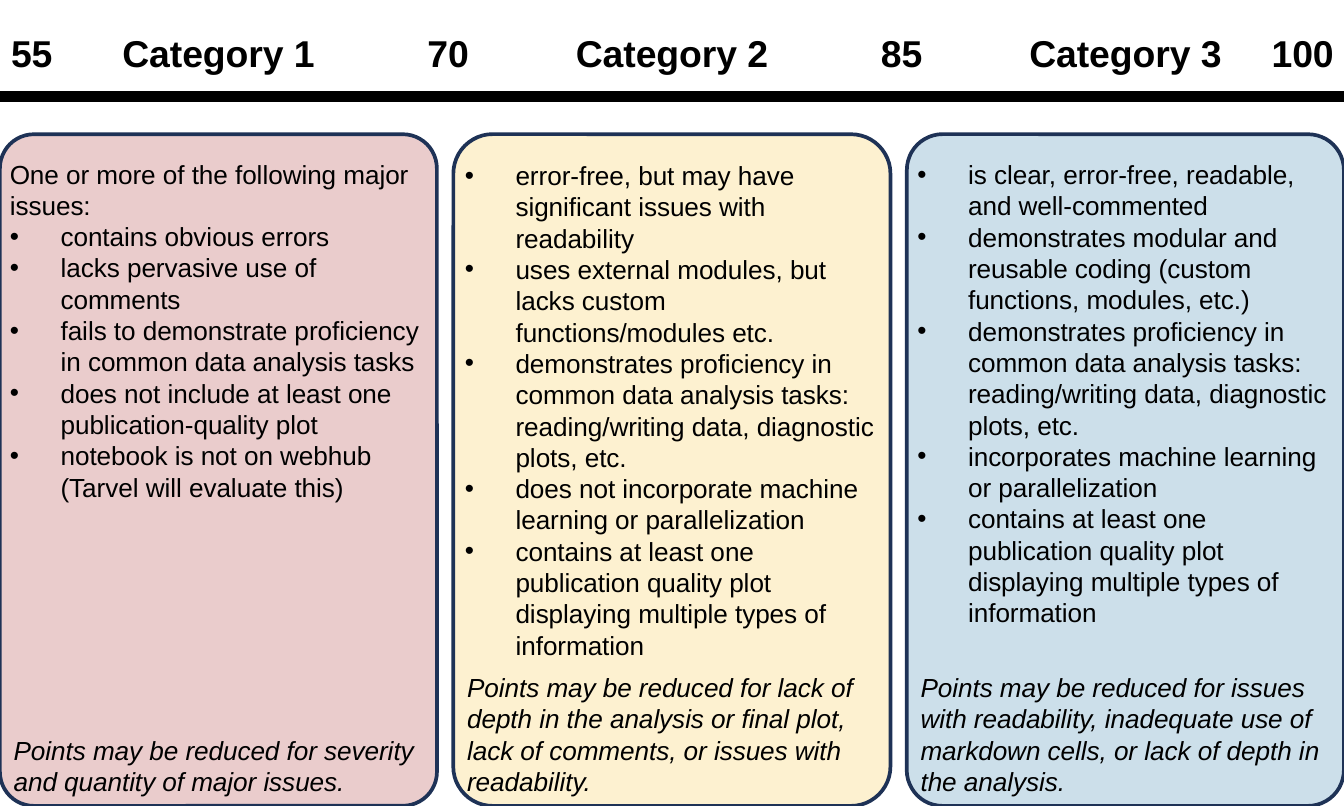
from lxml import etree
from pptx import Presentation
from pptx.dml.color import RGBColor
from pptx.enum import shapes, text
from pptx.oxml.ns import qn
from pptx.util import Cm, Pt

WIDE, HIGH = 12.7, 7.62
CARD, TOP, TALL = 4.13, 1.27, 6.35
STEP = (WIDE - CARD) / 2


def tint(code):
    """Turn a hex string into a colour."""
    return RGBColor.from_string(code)


def write(para, words, size=7, bold=False, slant=False, align=None, bullet=False):
    """Put formatted text in a paragraph."""
    run = para.add_run()
    run.text = words
    font = run.font
    font.name, font.size = "Arial", Pt(size)
    font.bold, font.italic = bold, slant
    font.color.rgb = tint("000000")
    para.alignment = align or text.PP_ALIGN.LEFT
    if bullet:
        props = para._p.get_or_add_pPr()
        props.set("marL", str(Cm(0.48)))
        props.set("indent", str(-Cm(0.48)))
        etree.SubElement(props, qn("a:buFont")).set("typeface", "Arial")
        etree.SubElement(props, qn("a:buChar")).set("char", "•")


class Page:
    """The slide and the style of its elements."""

    edge = "1E3256"
    clear = 20

    def __init__(self, deck):
        """Add a blank slide."""
        self.slide = deck.slides.add_slide(deck.slide_layouts[6])

    def rule(self, y):
        """Draw the scale line across the slide."""
        line = self.slide.shapes.add_connector(
            shapes.MSO_CONNECTOR.STRAIGHT, 0, Cm(y), Cm(WIDE), Cm(y))
        line.line.color.rgb = tint("000000")
        line.line.width = Pt(3)
        etree.SubElement(line._element.spPr, qn("a:effectLst"))

    def head(self, words, mid, wide):
        """Write a bold label centred on mid."""
        box = self.slide.shapes.add_textbox(
            Cm(mid - wide / 2), Cm(0.16), Cm(wide), Cm(0.69))
        frame = box.text_frame
        frame.word_wrap = False
        frame.auto_size = text.MSO_AUTO_SIZE.SHAPE_TO_FIT_TEXT
        write(frame.paragraphs[0], words, size=10, bold=True,
              align=text.PP_ALIGN.CENTER)

    def card(self, group, x, fill, bend, intro, items):
        """Draw a rounded card with an optional intro and bullets."""
        card = group.shapes.add_shape(
            shapes.MSO_SHAPE.ROUNDED_RECTANGLE, Cm(x), Cm(TOP), Cm(CARD), Cm(TALL))
        card.adjustments[0] = bend
        card.shadow.inherit = False
        card.fill.solid()
        card.fill.fore_color.rgb = tint(fill)
        shade = card._element.spPr.find(".//" + qn("a:srgbClr"))
        etree.SubElement(shade, qn("a:alpha")).set("val", str(self.clear * 1000))
        card.line.color.rgb = tint(self.edge)
        card.line.width = Pt(1)
        frame = card.text_frame
        frame.word_wrap = True
        frame.vertical_anchor = text.MSO_ANCHOR.TOP
        frame.margin_left = frame.margin_right = 0
        frame.margin_top = frame.margin_bottom = Cm(0.13)
        lines = [(intro, False)] if intro else []
        lines += [(item, True) for item in items]
        for i, (words, bullet) in enumerate(lines):
            para = frame.add_paragraph() if i else frame.paragraphs[0]
            write(para, words, bullet=bullet)

    def note(self, group, x, words, tall):
        """Write the italic note at the foot of a card."""
        box = group.shapes.add_textbox(
            Cm(x), Cm(HIGH + 0.05 - tall), Cm(CARD), Cm(tall))
        frame = box.text_frame
        frame.word_wrap = True
        frame.auto_size = text.MSO_AUTO_SIZE.SHAPE_TO_FIT_TEXT
        frame.margin_left = frame.margin_right = Cm(0.13)
        frame.margin_top = frame.margin_bottom = Cm(0.13)
        write(frame.paragraphs[0], words, slant=True)


TASKS = ("demonstrates proficiency in common data analysis tasks: "
         "reading/writing data, diagnostic plots, etc.")
PLOT = ("contains at least one publication quality plot displaying "
        "multiple types of information")
CARDS = [
    ("990000", 0.078, "One or more of the following major issues:",
     ["contains obvious errors",
      "lacks pervasive use of comments",
      "fails to demonstrate proficiency in common data analysis tasks",
      "does not include at least one publication-quality plot",
      "notebook is not on webhub (Tarvel will evaluate this)"],
     "Points may be reduced for severity and quantity of major issues.", 0.86),
    ("F5BB17", 0.09, "",
     ["error-free, but may have significant issues with readability",
      "uses external modules, but lacks custom functions/modules etc.",
      TASKS,
      "does not incorporate machine learning or parallelization",
      PLOT],
     "Points may be reduced for lack of depth in the analysis or final plot, "
     "lack of comments, or issues with readability.", 1.45),
    ("006298", 0.082, "",
     ["is clear, error-free, readable, and well-commented",
      "demonstrates modular and reusable coding "
      "(custom functions, modules, etc.)",
      TASKS,
      "incorporates machine learning or parallelization",
      PLOT],
     "Points may be reduced for issues with readability, inadequate use of "
     "markdown cells, or lack of depth in the analysis.", 1.45),
]
MARKS = [("55", 0.3, 0.91), ("70", STEP - 0.05, 0.91),
         ("85", 2 * STEP - 0.05, 0.91), ("100", 12.31, 1.09)]

deck = Presentation()
deck.slide_width, deck.slide_height = Cm(WIDE), Cm(HIGH)
page = Page(deck)
page.rule(0.91)
for mark in MARKS:
    page.head(*mark)
for i, (fill, bend, intro, items, foot, tall) in enumerate(CARDS):
    x = i * STEP
    page.head(f"Category {i + 1}", x + CARD / 2, 2.34)
    group = page.slide.shapes.add_group_shape()
    page.card(group, x, fill, bend, intro, items)
    page.note(group, x, foot, tall)
deck.save("out.pptx")
